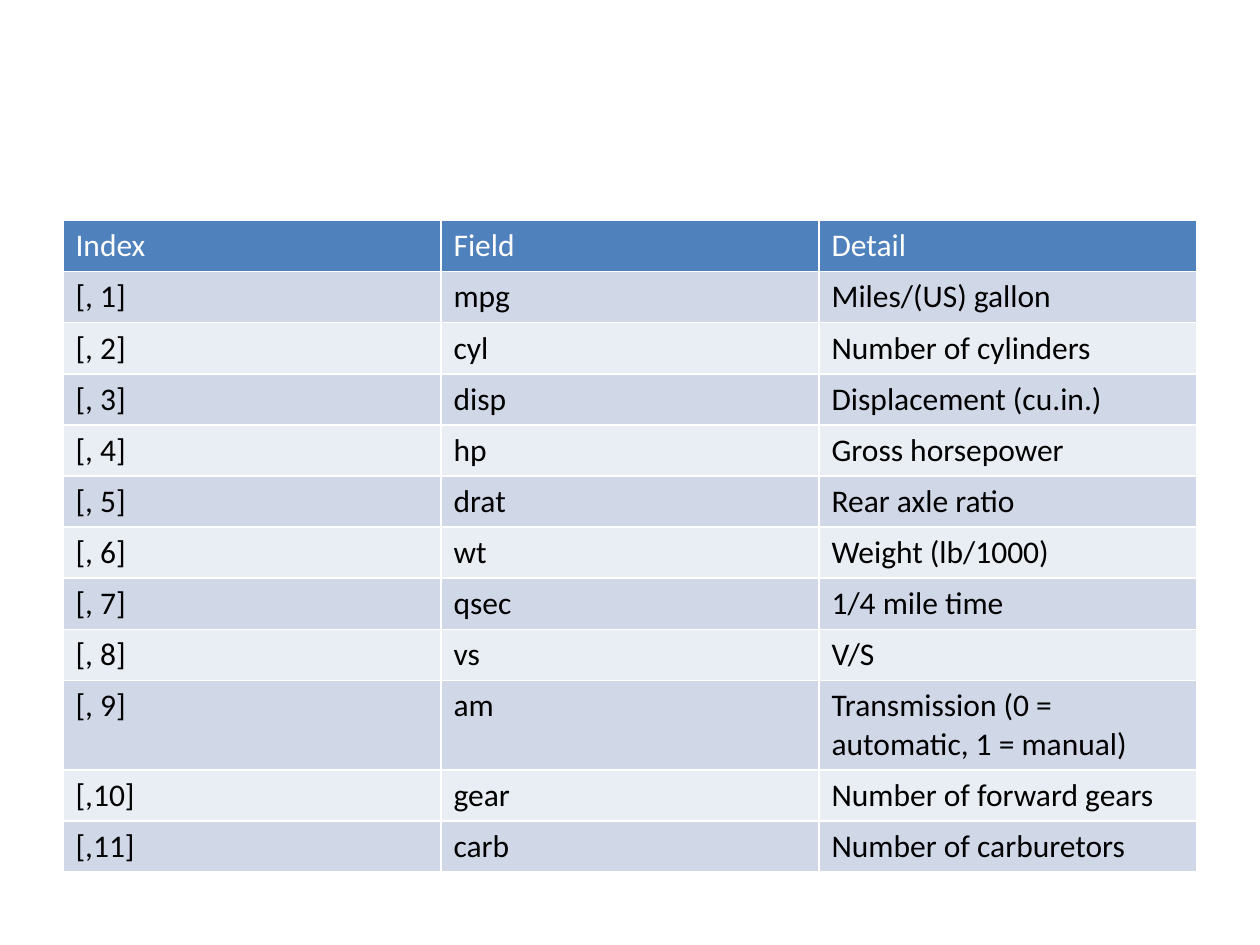
from dataclasses import dataclass

from pptx import Presentation
from pptx import util as u
from pptx.dml import color


@dataclass(frozen=True)
class Theme:
    font: str = "Calibri"
    size: int = 18
    header_fill: str = "4F81BD"
    header_text: str = "FFFFFF"
    body_fills: tuple = ("D0D8E8", "E9EDF4")
    body_text: str = "000000"


THEME = Theme()
SLIDE_WIDTH, SLIDE_HEIGHT = u.Inches(10), u.Inches(7.5)
GRID_COLUMN, GRID_ROW = SLIDE_WIDTH // 20, SLIDE_HEIGHT // 30
LINE_ROWS, WRAPPED_ROWS = 1.6, 2.8

HEADER = ("Index", "Field", "Detail")
FIELDS = (
    ("mpg", "Miles/(US) gallon"),
    ("cyl", "Number of cylinders"),
    ("disp", "Displacement (cu.in.)"),
    ("hp", "Gross horsepower"),
    ("drat", "Rear axle ratio"),
    ("wt", "Weight (lb/1000)"),
    ("qsec", "1/4 mile time"),
    ("vs", "V/S"),
    ("am", "Transmission (0 = automatic, 1 = manual)"),
    ("gear", "Number of forward gears"),
    ("carb", "Number of carburetors"),
)
WRAPPED_FIELD = "am"


def format_cell(cell, content, fill, text_color):
    cell.text = content
    cell.fill.solid()
    cell.fill.fore_color.rgb = color.RGBColor.from_string(fill)
    font = cell.text_frame.paragraphs[0].runs[0].font
    font.color.rgb = color.RGBColor.from_string(text_color)
    for name, value in {"name": THEME.font, "size": u.Pt(THEME.size), "bold": False}.items():
        setattr(font, name, value)


def add_field_table(slide, left, top, width):
    records = [HEADER] + [
        (f"[,{index:2d}]", field, detail)
        for index, (field, detail) in enumerate(FIELDS, 1)
    ]
    heights = [
        round((WRAPPED_ROWS if record[1] == WRAPPED_FIELD else LINE_ROWS) * GRID_ROW)
        for record in records
    ]
    table = slide.shapes.add_table(
        len(records), len(HEADER), left, top, width, sum(heights)
    ).table
    for number, (record, height) in enumerate(zip(records, heights)):
        table.rows[number].height = height
        if number == 0:
            fill, text_color = THEME.header_fill, THEME.header_text
        else:
            fill, text_color = THEME.body_fills[(number - 1) % 2], THEME.body_text
        for column, content in enumerate(record):
            format_cell(table.cell(number, column), content, fill, text_color)


presentation = Presentation()
presentation.slide_width, presentation.slide_height = SLIDE_WIDTH, SLIDE_HEIGHT
blank_layout = presentation.slide_layouts[6]
slide = presentation.slides.add_slide(blank_layout)
add_field_table(slide, GRID_COLUMN, 7 * GRID_ROW, 18 * GRID_COLUMN)
presentation.save("out.pptx")
